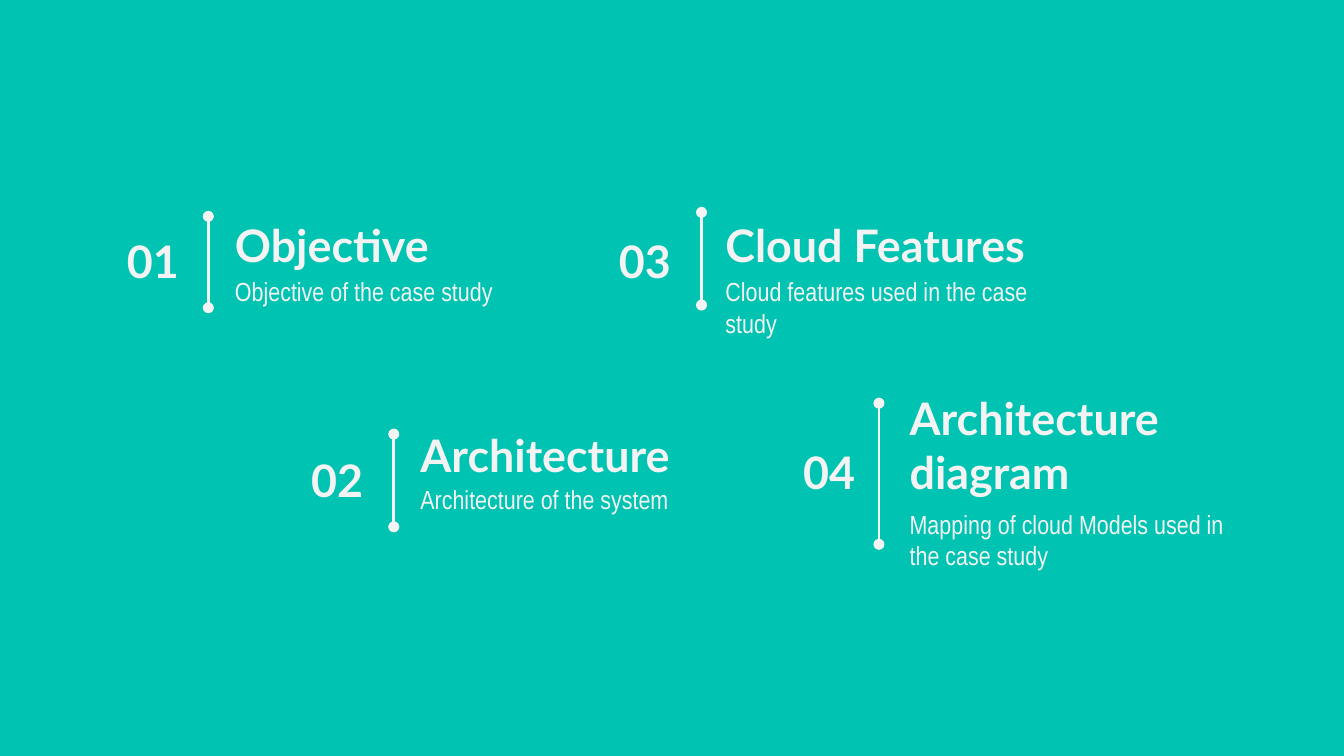
from pptx import Presentation
from pptx import util as u
from pptx.dml.color import RGBColor
from pptx.enum import shapes, text
from pptx.oxml.ns import qn
from lxml import etree

TEAL = RGBColor(0x00, 0xC3, 0xB1)
PALE = RGBColor(0xF3, 0xF3, 0xF3)

TEXT_WIDTH = 2.56
NUMBER_WIDTH = 0.66

# number, heading, description, left of the text, left of the number,
# then (top, height) of the number, heading and description,
# then x, top and bottom of the divider
ITEMS = [
    ("01", "Objective", "Objective of the case study", 1.65, 0.77,
     (1.67, 0.54), (1.59, 0.46), (1.95, 0.71), (1.55, 1.61, 2.29)),
    ("02", "Architecture", "Architecture of the system", 3.03, 2.14,
     (3.31, 0.52), (3.15, 0.46), (3.5, 0.71), (2.93, 3.23, 3.92)),
    ("03", "Cloud Features", "Cloud features used in the case study", 5.3, 4.43,
     (1.67, 0.54), (1.59, 0.46), (1.95, 0.71), (5.22, 1.58, 2.27)),
    ("04", "Architecture diagram",
     "Mapping of cloud Models used in the case study", 6.67, 5.8,
     (3.23, 0.55), (3.15, 0.31), (3.68, 0.53), (6.54, 3, 4.05)),
]


def add_text(page, words, left, band, width, font, size, bold=False,
             anchor=text.MSO_ANCHOR.MIDDLE, align=text.PP_ALIGN.LEFT):
    top, height = band
    box = page.shapes.add_textbox(u.Inches(left), u.Inches(top),
                                  u.Inches(width), u.Inches(height))
    frame = box.text_frame
    frame.word_wrap = True
    frame.vertical_anchor = anchor
    frame.margin_left = frame.margin_right = u.Inches(0.1)
    frame.margin_top = frame.margin_bottom = u.Inches(0.1)
    para = frame.paragraphs[0]
    para.text = words
    para.alignment = align
    para.font.name = font
    para.font.size = u.Pt(size)
    para.font.bold = bold
    para.font.color.rgb = PALE


def add_divider(page, x, top, bottom):
    line = page.shapes.add_connector(
        shapes.MSO_CONNECTOR.STRAIGHT,
        u.Inches(x), u.Inches(top), u.Inches(x), u.Inches(bottom))
    line.line.color.rgb = PALE
    line.line.width = u.Pt(1.5)
    # Round ends, no shadow
    outline = line.line._get_or_add_ln()
    for end in ("a:headEnd", "a:tailEnd"):
        etree.SubElement(outline, qn(end), type="oval")
    etree.SubElement(line._element.spPr, qn("a:effectLst"))


def add_item(page, number, heading, description, left, number_left,
             number_band, heading_band, description_band, divider):
    add_text(page, heading, left, heading_band, TEXT_WIDTH, "Lato", 24, bold=True)
    add_text(page, description, left, description_band, TEXT_WIDTH,
             "Arial Narrow", 14, anchor=text.MSO_ANCHOR.TOP)
    add_text(page, number, number_left, number_band, NUMBER_WIDTH,
             "Lato", 24, bold=True, align=text.PP_ALIGN.RIGHT)
    add_divider(page, *divider)


def main():
    # Widescreen page, 16:9
    deck = Presentation()
    deck.slide_width = u.Inches(10)
    deck.slide_height = deck.slide_width * 9 // 16
    page = deck.slides.add_slide(deck.slide_layouts[6])

    # Background
    page.background.fill.solid()
    page.background.fill.fore_color.rgb = TEAL

    # Agenda items
    for item in ITEMS:
        add_item(page, *item)

    deck.save("out.pptx")


if __name__ == "__main__":
    main()
